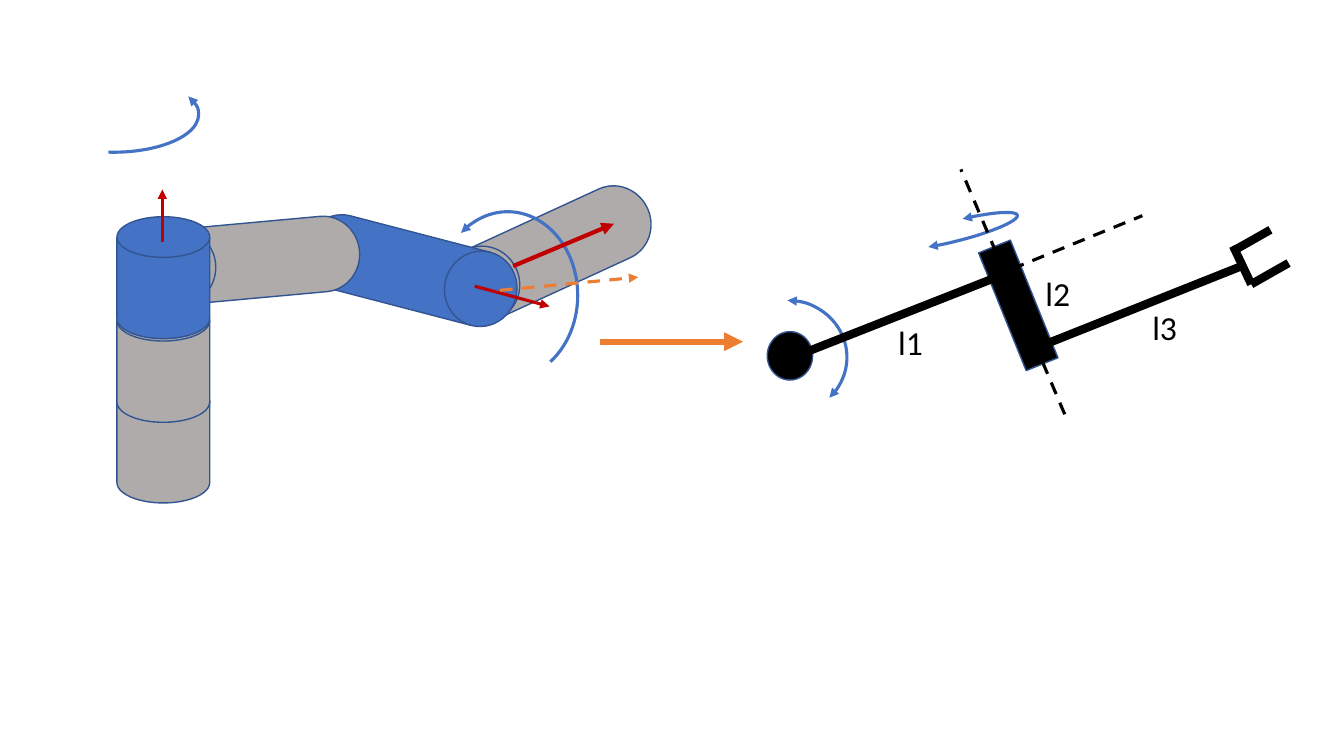
import dataclasses

import lxml.etree
import pptx
import pptx.dml.color
import pptx.enum.dml
import pptx.enum.shapes
import pptx.enum.text
import pptx.oxml.ns
import pptx.util

KIND = pptx.enum.shapes.MSO_SHAPE
WIDE, HIGH = 13.33, 7.5
CELL = WIDE / 1333  # one column or row of the slide grid, in inches


@dataclasses.dataclass(frozen=True)
class Theme:
    black: str = "000000"
    blue: str = "4472C4"
    edge: str = "325491"
    grey: str = "AFABAB"
    red: str = "C00000"
    orange: str = "ED7D31"
    font: str = "Calibri"
    size: float = 24
    hair: float = 1
    thin: float = 2.25
    bold: float = 3
    wide: float = 4.5
    thick: float = 6


THEME = Theme()


def color(code):
    return pptx.dml.color.RGBColor.from_string(code)


def stroke(item, code, width, dash=False, head=False, tail=False):
    line = item.line
    line.color.rgb = color(code)
    line.width = pptx.util.Pt(width)
    if dash:
        line.dash_style = pptx.enum.dml.MSO_LINE.DASH
    for tag, shown in (("a:headEnd", head), ("a:tailEnd", tail)):
        if shown:
            end = lxml.etree.SubElement(line._get_or_add_ln(), pptx.oxml.ns.qn(tag))
            end.set("type", "triangle")


class Region:
    """A box on the slide; its parts are placed in grid cells from its corner."""

    def __init__(self, slide, left, top):
        self.shapes = slide.shapes
        self.left, self.top = left, top

    def point(self, col, row):
        return (pptx.util.Inches((self.left + col) * CELL),
                pptx.util.Inches((self.top + row) * CELL))

    def box(self, col, row, cols, rows):
        return (*self.point(col, row),
                pptx.util.Inches(cols * CELL), pptx.util.Inches(rows * CELL))

    def solid(self, kind, place, fill, turn=0):
        shape = self.shapes.add_shape(kind, *self.box(*place))
        shape.shadow.inherit = False
        shape.rotation = turn
        shape.fill.solid()
        shape.fill.fore_color.rgb = color(fill)
        stroke(shape, THEME.edge, THEME.hair)

    def arc(self, place, start, stop, turn=0, tail=False):
        shape = self.shapes.add_shape(KIND.ARC, *self.box(*place))
        shape.shadow.inherit = False
        shape.rotation = turn
        shape.adjustments[0], shape.adjustments[1] = start, stop
        shape.fill.background()
        stroke(shape, THEME.blue, THEME.thin, head=True, tail=tail)

    def line(self, start, stop, code, width, dash=False, tail=False):
        link = self.shapes.add_connector(
            pptx.enum.shapes.MSO_CONNECTOR.STRAIGHT,
            *self.point(*start), *self.point(*stop))
        lxml.etree.SubElement(link._element.spPr, pptx.oxml.ns.qn("a:effectLst"))
        # The line element must come before the effect list, as python-pptx places it.
        stroke(link, code, width, dash, tail=tail)

    def label(self, text, col, row):
        frame = self.shapes.add_textbox(*self.box(col, row, 89, 50)).text_frame
        frame.word_wrap = True
        frame.auto_size = pptx.enum.text.MSO_AUTO_SIZE.SHAPE_TO_FIT_TEXT
        frame.text = text
        font = frame.paragraphs[0].runs[0].font
        font.name, font.size = THEME.font, pptx.util.Pt(THEME.size)
        font.color.rgb = color(THEME.black)


def draw_scheme(area):
    """Draw the joints and links as a line diagram."""
    area.solid(KIND.OVAL, (39, 161, 45, 48), THEME.black)
    area.solid(KIND.RECTANGLE, (271, 72, 34, 126), THEME.black, 338)
    area.arc((0, 130, 118, 113), 162, 26.4, tail=True)
    area.arc((164, 51, 125, 20), 187.29, 98.56, 345.7, tail=True)

    links = [((63, 187), (264, 108)), ((311, 175), (512, 95))]
    claw = [((501, 76), (519, 114)), ((556, 93), (519, 114)),
            ((538, 60), (501, 81))]
    for start, stop in links + claw:
        area.line(start, stop, THEME.black, THEME.thick)
    for start, stop in [((334, 243), (231, 0)), ((181, 140), (411, 46))]:
        area.line(start, stop, THEME.black, THEME.thin, dash=True)
    for text, col, row in [("l1", 159, 146), ("l2", 305, 98), ("l3", 411, 132)]:
        area.label(text, col, row)


def draw_robot(area):
    """Draw the arm from its far end back to the base, then its axes."""
    for col, row, fill, turn in [(409, 138, THEME.grey, 155.3),
                                 (272, 155, THEME.blue, 14.6),
                                 (114, 145, THEME.grey, 174.8)]:
        area.solid(KIND.FLOWCHART_DIRECT_ACCESS_STORAGE,
                   (col, row, 215, 75), fill, turn)
    for row, fill in [(302, THEME.grey), (222, THEME.grey), (139, THEME.blue)]:
        area.solid(KIND.FLOWCHART_MAGNETIC_DISK, (88, row, 92, 121), fill)

    area.arc((0, 0, 169, 75), 99.85, 166.55, 180)
    area.arc((406, 134, 139, 166), 31.95, 142.35, 180)
    for start, stop, width in [((133, 164), (133, 112), THEME.thin),
                               ((443, 208), (517, 228), THEME.thin),
                               ((481, 188), (581, 146), THEME.bold)]:
        area.line(start, stop, THEME.red, width, tail=True)
    area.line((468, 212), (605, 199), THEME.orange, THEME.thin,
              dash=True, tail=True)


def draw_step(area):
    """Draw the arrow that leads from the robot to the scheme."""
    area.line((0, 0), (142, 0), THEME.orange, THEME.wide, tail=True)


def main():
    deck = pptx.Presentation()
    deck.slide_width = pptx.util.Inches(WIDE)
    deck.slide_height = pptx.util.Inches(HIGH)
    slide = deck.slides.add_slide(deck.slide_layouts[6])
    draw_scheme(Region(slide, 722, 168))
    draw_step(Region(slide, 595, 339))
    draw_robot(Region(slide, 28, 76))
    deck.save("out.pptx")


if __name__ == "__main__":
    main()
